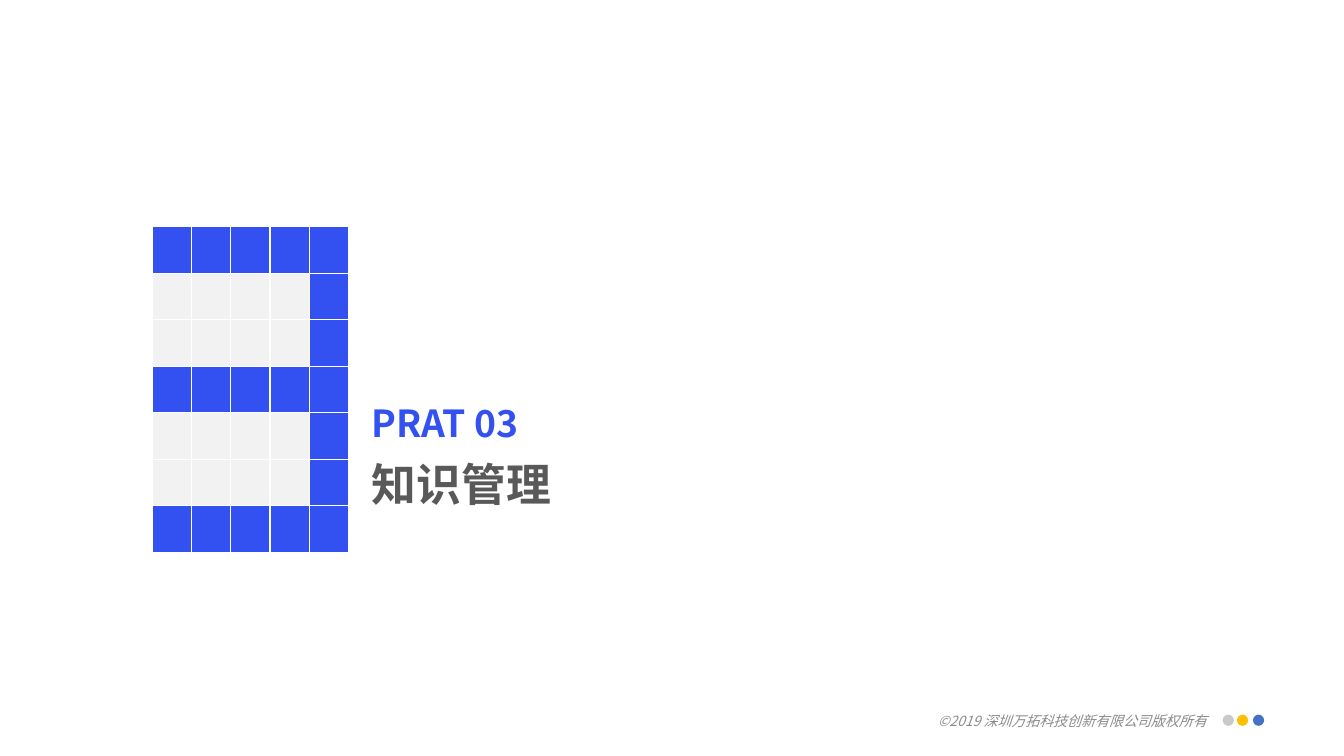
from lxml.etree import SubElement
from pptx import Presentation
from pptx.dml.color import RGBColor
from pptx.enum.shapes import MSO_SHAPE as Shape
from pptx.enum.text import MSO_ANCHOR as Anchor, MSO_AUTO_SIZE as Fit, PP_ALIGN as Align
from pptx.oxml import parse_xml
from pptx.oxml.ns import nsdecls, qn
from pptx.util import Pt

FACE = "Noto Sans CJK SC"
BLUE, PALE = "3350F1", "F2F2F2"


def color(code):
    return RGBColor.from_string(code)


def write(box, place, text, size, tint, space=1.0, anchor=Anchor.TOP, align=Align.LEFT):
    box.left, box.top, box.width, box.height = [Pt(n) for n in place]
    frame = box.text_frame
    frame.text = text
    frame.word_wrap = True
    frame.auto_size = Fit.NONE
    frame.vertical_anchor = anchor
    para = frame.paragraphs[0]
    para.alignment = align
    para.line_spacing = space
    font = para.font
    font.size = Pt(size)
    font.color.rgb = color(tint)
    font.name = FACE
    props = para._p.pPr.find(qn("a:defRPr"))
    SubElement(props, qn("a:ea")).set("typeface", FACE)
    return font


deck = Presentation()
deck.slide_width, deck.slide_height = Pt(960), Pt(540)
slide = deck.slides.add_slide(deck.slide_layouts[5])
shapes = slide.shapes

note = shapes.add_textbox(0, 0, 0, 0)
font = write(note, (451.4, 500.4, 417.6, 28.8), "©2019 深圳万拓科技创新有限公司版权所有",
             10, "8C8C8C", anchor=Anchor.MIDDLE, align=Align.RIGHT)
font.italic = True

for left, tint in ((873.4, "C9C9C9"), (883.6, "FFC000"), (895, "4472C4")):
    dot = shapes.add_shape(Shape.OVAL, Pt(left), Pt(510.5), Pt(8), Pt(8))
    dot.shadow.inherit = False
    dot.fill.solid()
    dot.fill.fore_color.rgb = color(tint)
    dot.line.fill.background()

part = shapes.add_textbox(0, 0, 0, 0)
write(part, (258.5, 266.4, 201.6, 51.1), "PRAT 03", 26.6, BLUE, 1.5).bold = True
write(shapes.title, (258.5, 326.9, 609.1, 49), "知识管理", 32, "595959", 0.9).bold = True

digit = ("#####", "....#", "....#", "#####", "....#", "....#", "#####")
wide, high = 28, 33.2
grid = shapes.add_table(7, 5, Pt(108.9), Pt(162), Pt(5 * wide), Pt(7 * high)).table
for col in grid.columns:
    col.width = Pt(wide)
for r, marks in enumerate(digit):
    grid.rows[r].height = Pt(high)
    for c, mark in enumerate(marks):
        cell = grid.cell(r, c)
        cell.fill.solid()
        cell.fill.fore_color.rgb = color(BLUE if mark == "#" else PALE)
        props = cell._tc.get_or_add_tcPr()
        for i, side in enumerate("LRTB"):
            props.insert(i, parse_xml(
                f'<a:ln{side} {nsdecls("a")} w="12700"><a:solidFill>'
                f'<a:srgbClr val="FFFFFF"/></a:solidFill></a:ln{side}>'))

deck.save("out.pptx")
